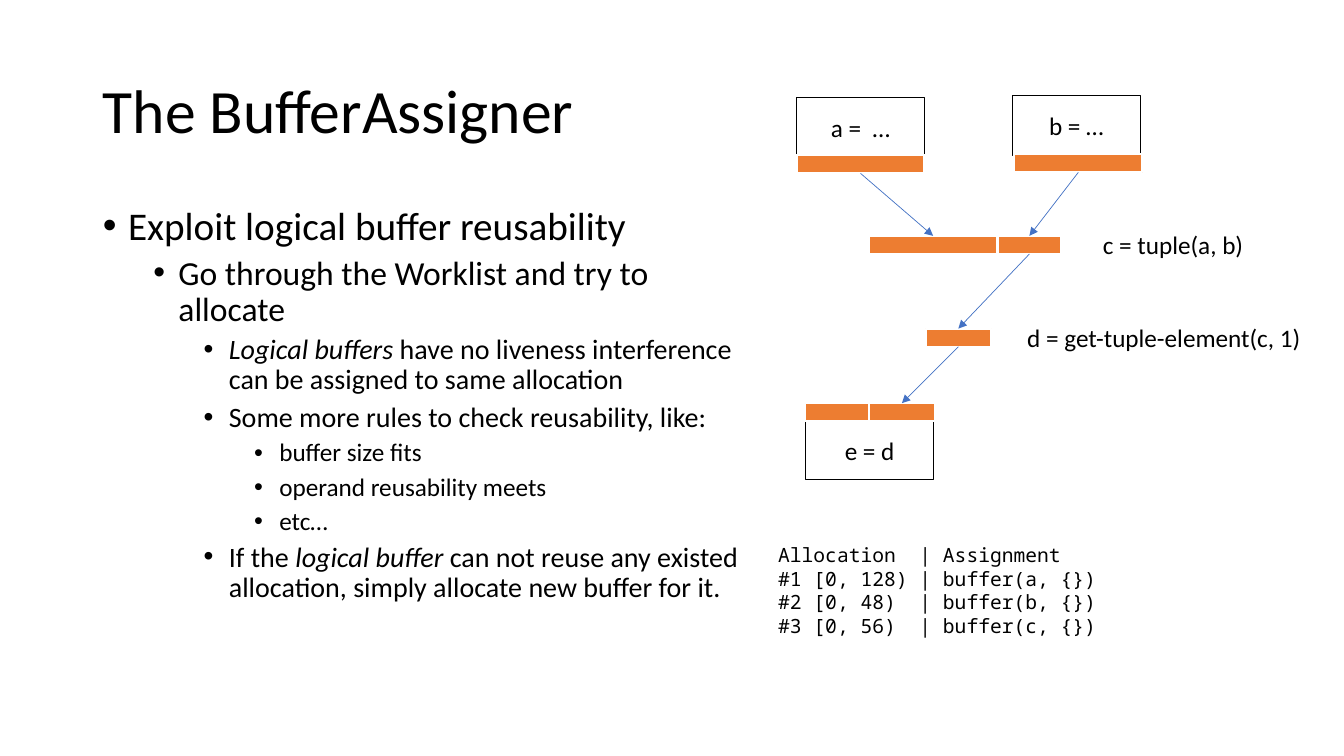
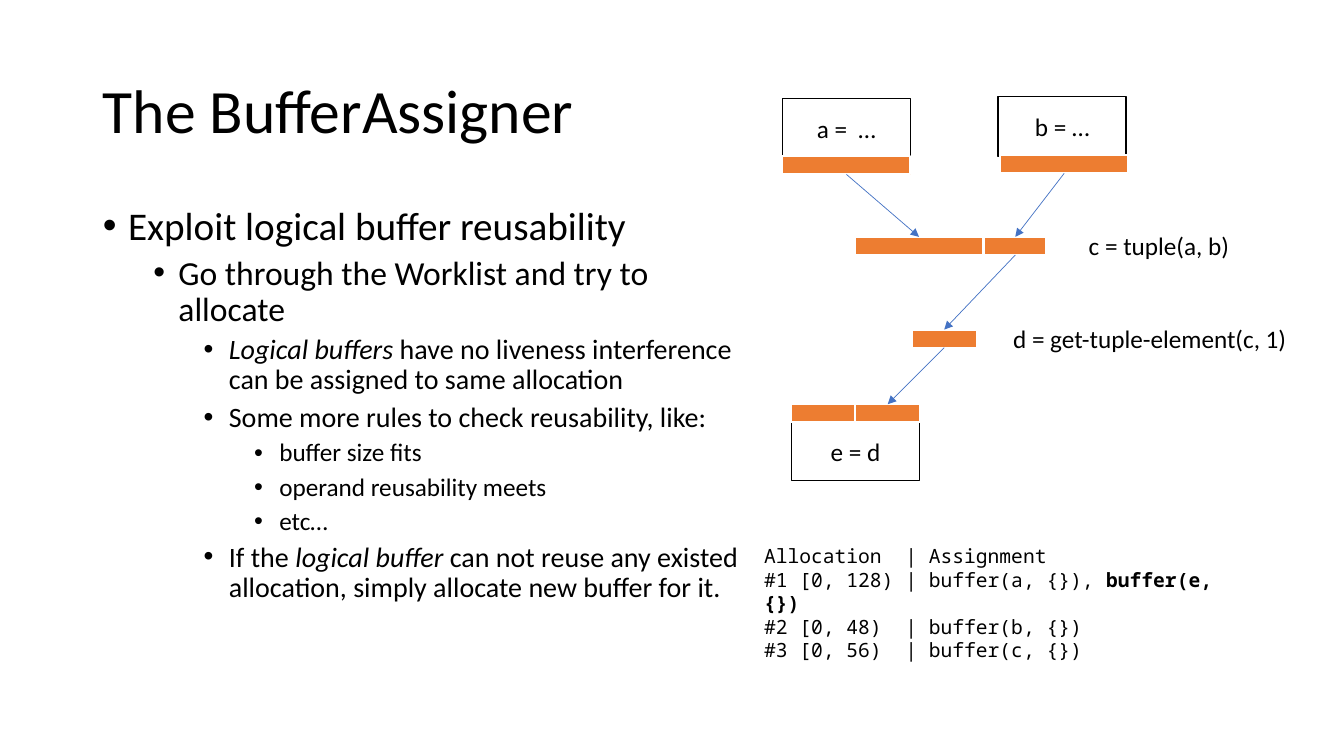
"""Build two slides on how the BufferAssigner reuses logical buffers."""
from dataclasses import dataclass

from lxml import etree
from pptx import Presentation
from pptx.dml.color import RGBColor
from pptx.enum.shapes import MSO_CONNECTOR, MSO_SHAPE
from pptx.enum.text import MSO_ANCHOR, MSO_AUTO_SIZE, PP_ALIGN
from pptx.oxml.ns import qn
from pptx.util import Inches, Pt

RECT = MSO_SHAPE.RECTANGLE
LINE = MSO_CONNECTOR.STRAIGHT
MIDDLE, TOP = MSO_ANCHOR.MIDDLE, MSO_ANCHOR.TOP
NO_FIT = MSO_AUTO_SIZE.NONE
LEFT, CENTER = PP_ALIGN.LEFT, PP_ALIGN.CENTER
TOP_SIDE, BOTTOM_SIDE = 0, 2


@dataclass(frozen=True)
class Theme:
    """Colours, fonts and type sizes of the deck."""
    ink: RGBColor = RGBColor(0, 0, 0)
    paper: RGBColor = RGBColor(255, 255, 255)
    buffer: RGBColor = RGBColor(0xED, 0x7D, 0x31)
    arrow: RGBColor = RGBColor(0x44, 0x72, 0xC4)
    sans: str = "Calibri"
    mono: str = "Noto Sans Mono"
    title: int = 44
    levels: tuple = (28, 24, 20, 18)
    label: int = 18
    code: int = 14


THEME = Theme()

TITLE = "The BufferAssigner"
POINTS = [
    (0, "Exploit logical buffer reusability"),
    (1, "Go through the Worklist and try to allocate"),
    (2, "*Logical buffers* have no liveness interference "
        "can be assigned to same allocation"),
    (2, "Some more rules to check reusability, like:"),
    (3, "buffer size fits"),
    (3, "operand reusability meets"),
    (3, "etc…"),
    (2, "If the *logical buffer* can not reuse any existed allocation, "
        "simply allocate new buffer for it."),
]
BOXES = [("a =  …", 7.9, 0.97), ("b = …", 10.04, 0.95), ("e = d", 7.99, 4.17)]
BARS = {
    "a": (7.9, 1.54, 1.27),
    "b": (10.06, 1.53, 1.27),
    "c0": (8.62, 2.34, 1.27),
    "c1": (9.9, 2.34, 0.62),
    "d": (9.18, 3.26, 0.65),
    "e0": (7.98, 4, 0.66),
    "e1": (8.62, 4, 0.65),
}
FLOWS = [("a", "c0"), ("b", "c1"), ("c1", "d"), ("d", "e1")]
LABELS = [("c = tuple(a, b)", 10.84, 2.23, 2.1),
          ("d = get-tuple-element(c, 1)", 10.09, 3.15, 3)]
BOX_W, BOX_H, BAR_H = 1.27, 0.59, 0.18
STEPS = [((0, 0), ""), ((-0.14, 0.01), ", *buffer(e, {})*")]


def place(shape, left, top, width, height):
    """Move and size a shape, in inches."""
    shape.left, shape.top = Inches(left), Inches(top)
    shape.width, shape.height = Inches(width), Inches(height)


def style(para, size, face=THEME.sans, align=LEFT):
    """Set the font and alignment of a paragraph."""
    para.alignment = align
    font = para.font
    font.name, font.size = face, Pt(size)
    font.color.rgb = THEME.ink


def write(para, text, mark):
    """Add runs, setting the font flag mark on text between asterisks."""
    for i, part in enumerate(text.split("*")):
        if part:
            run = para.add_run()
            run.text = part
            if i % 2:
                setattr(run.font, mark, True)


def lines(frame, count):
    """Return the given number of paragraphs in an empty frame."""
    return [frame.paragraphs[0]] + [frame.add_paragraph()
                                    for _ in range(count - 1)]


def bullet(para, level):
    """Give a paragraph its level, hanging indent and bullet."""
    para.level = level
    props = para._p.get_or_add_pPr()
    props.set("marL", str(Inches(0.25 + 0.5 * level)))
    props.set("indent", str(Inches(-0.25)))
    etree.SubElement(props, qn("a:buFont")).set("typeface", "Arial")
    etree.SubElement(props, qn("a:buChar")).set("char", "•")


def add_title(slide):
    """Fill the title placeholder."""
    title = slide.shapes.title
    place(title, 0.92, 0.4, 11.5, 1.45)
    frame = title.text_frame
    frame.auto_size, frame.vertical_anchor = NO_FIT, MIDDLE
    frame.text = TITLE
    para = frame.paragraphs[0]
    para.line_spacing = 0.9
    style(para, THEME.title)


def add_points(slide):
    """Fill the body placeholder with the bullet list."""
    body = slide.placeholders[1]
    place(body, 0.92, 2, 6.57, 4.76)
    frame = body.text_frame
    frame.auto_size, frame.vertical_anchor = NO_FIT, TOP
    paras = lines(frame, len(POINTS))
    for i, (para, (level, text)) in enumerate(zip(paras, POINTS)):
        bullet(para, level)
        para.line_spacing = 0.9
        para.space_before = Pt(5 if i else 0)
        style(para, THEME.levels[level])
        write(para, text, "italic")


def add_rect(slide, spot, fill, line, weight):
    """Add a flat rectangle."""
    rect = slide.shapes.add_shape(RECT, *map(Inches, spot))
    rect.shadow.inherit = False
    rect.fill.solid()
    rect.fill.fore_color.rgb = fill
    rect.line.color.rgb = line
    rect.line.width = Pt(weight)
    return rect


def add_box(slide, text, left, top):
    """Add an outlined box for one instruction."""
    rect = add_rect(slide, (left, top, BOX_W, BOX_H),
                    THEME.paper, THEME.ink, 1)
    frame = rect.text_frame
    frame.text, frame.vertical_anchor = text, MIDDLE
    style(frame.paragraphs[0], THEME.label, align=CENTER)


def add_arrow(slide, start, end):
    """Join the bottom of one bar to the top of another."""
    arrow = slide.shapes.add_connector(LINE, 0, 0, 0, 0)
    arrow.begin_connect(start, BOTTOM_SIDE)
    arrow.end_connect(end, TOP_SIDE)
    arrow.line.color.rgb = THEME.arrow
    arrow.line.width = Pt(0.5)
    tip = etree.SubElement(arrow.line._get_or_add_ln(), qn("a:tailEnd"))
    tip.set("type", "triangle")
    etree.SubElement(arrow._element.spPr, qn("a:effectLst"))


def add_text(slide, rows, spot, size, face=THEME.sans):
    """Add a text box with one paragraph per row."""
    frame = slide.shapes.add_textbox(*map(Inches, spot)).text_frame
    frame.word_wrap = True
    for para, row in zip(lines(frame, len(rows)), rows):
        style(para, size, face)
        write(para, row, "bold")


def add_graph(slide, dx, dy):
    """Draw the instructions, their buffers and the data flow."""
    for text, left, top in BOXES:
        add_box(slide, text, left + dx, top + dy)
    bars = {name: add_rect(slide, (left + dx, top + dy, width, BAR_H),
                           THEME.buffer, THEME.paper, 1.5)
            for name, (left, top, width) in BARS.items()}
    for start, end in FLOWS:
        add_arrow(slide, bars[start], bars[end])
    for text, left, top, width in LABELS:
        add_text(slide, [text], (left + dx, top + dy, width, 0.4),
                 THEME.label)


def add_slide(deck, shift, reuse):
    """Add one step of the buffer assignment."""
    slide = deck.slides.add_slide(deck.slide_layouts[1])
    dx, dy = shift
    add_title(slide)
    add_points(slide)
    add_graph(slide, dx, dy)
    rows = ["Allocation  | Assignment",
            "#1 [0, 128) | buffer(a, {})" + reuse,
            "#2 [0, 48)  | buffer(b, {})",
            "#3 [0, 56)  | buffer(c, {})"]
    add_text(slide, rows, (7.62 + dx, 5.34 + dy, 4.8, 1.04),
             THEME.code, THEME.mono)


def main():
    """Build and save the deck."""
    deck = Presentation()
    deck.slide_width, deck.slide_height = Inches(13.33), Inches(7.5)
    for shift, reuse in STEPS:
        add_slide(deck, shift, reuse)
    deck.save("out.pptx")


if __name__ == "__main__":
    main()
